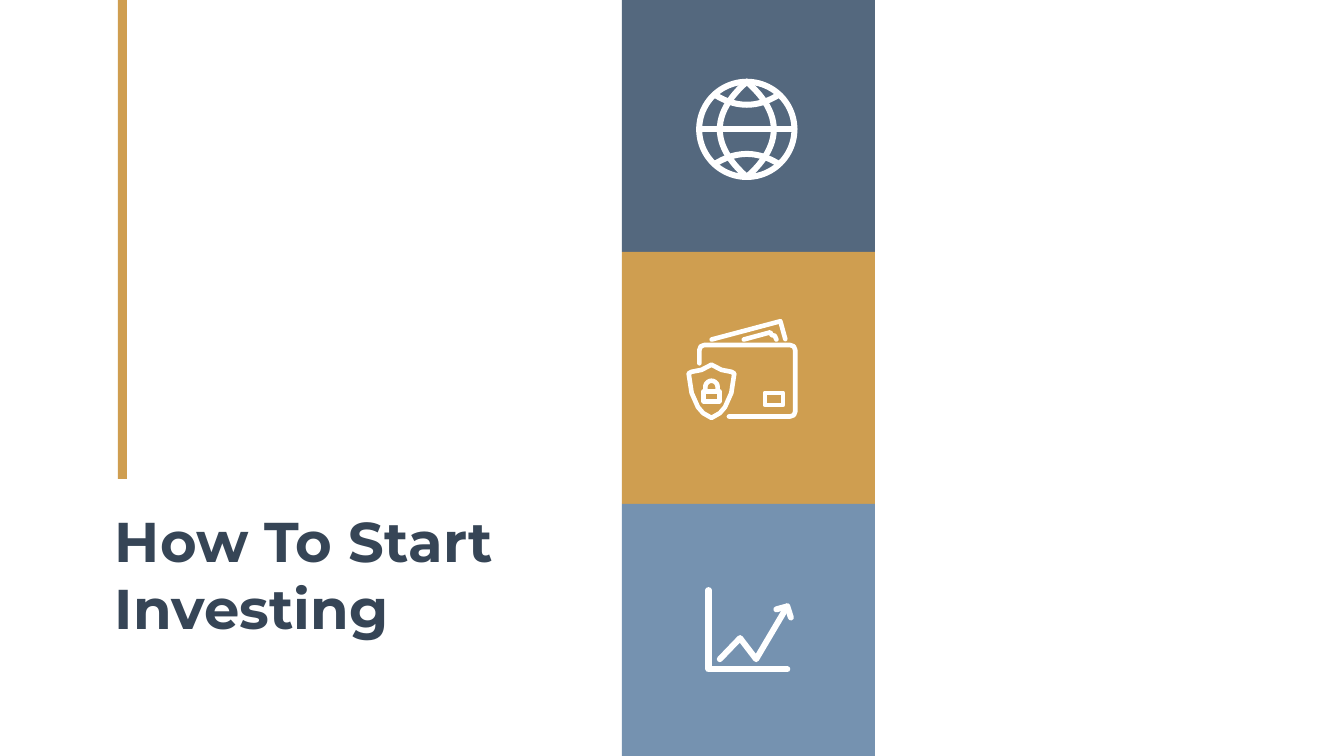
from math import cos, pi, sin

from lxml import etree
from pptx import Presentation
from pptx.dml.color import RGBColor
from pptx.enum.shapes import MSO_SHAPE
from pptx.enum.text import MSO_ANCHOR, MSO_AUTO_SIZE, PP_ALIGN
from pptx.oxml.ns import qn
from pptx.util import Cm, Pt

RECTANGLE = MSO_SHAPE.RECTANGLE
OVAL = MSO_SHAPE.OVAL
COLORS = {
    "title": "364556",
    "slate": "54687E",
    "gold": "CF9E50",
    "blue": "7592B0",
    "icon": "FFFFFF",
}
BOLD_STROKE = Pt(8.6)
FINE_STROKE = Pt(6.6)


def outline(shape, width):
    shape.shadow.inherit = False
    shape.fill.background()
    shape.line.color.rgb = RGBColor.from_string(COLORS["icon"])
    shape.line.width = width
    line = shape._element.spPr.find(qn("a:ln"))
    line.set("cap", "rnd")
    etree.SubElement(line, qn("a:round"))


def stroke(points, width, close=False):
    points = [(Cm(x), Cm(y)) for x, y in points]
    builder = slide.shapes.build_freeform(*points[0])
    builder.add_line_segments(points[1:], close=close)
    outline(builder.convert_to_shape(), width)


presentation = Presentation()
presentation.slide_width = Cm(67.72)
presentation.slide_height = Cm(38.1)
slide = presentation.slides.add_slide(presentation.slide_layouts[5])

title = slide.shapes.title
title.left, title.top, title.width, title.height = Cm(5.54), Cm(25.4), Cm(20.7), Cm(7.09)
frame = title.text_frame
frame.text = "How To Start Investing"
frame.word_wrap = True
frame.auto_size = MSO_AUTO_SIZE.NONE
frame.vertical_anchor = MSO_ANCHOR.TOP
paragraph = frame.paragraphs[0]
paragraph.alignment = PP_ALIGN.LEFT
paragraph.font.name = "Montserrat"
paragraph.font.size = Pt(80)
paragraph.font.bold = True
paragraph.font.color.rgb = RGBColor.from_string(COLORS["title"])

panel_height = 12.7
panels = [
    (31.34, row * panel_height, 12.75, panel_height, color)
    for row, color in enumerate(["slate", "gold", "blue"])
]
accent_bar = (5.94, 0, 0.46, 24.13, "gold")
for left, top, width, height, color in panels + [accent_bar]:
    shape = slide.shapes.add_shape(RECTANGLE, Cm(left), Cm(top), Cm(width), Cm(height))
    shape.shadow.inherit = False
    shape.fill.solid()
    shape.fill.fore_color.rgb = RGBColor.from_string(COLORS[color])
    shape.line.fill.background()

globe_x, globe_y, radius = 37.63, 6.52, 2.4
globe = slide.shapes.add_shape(
    OVAL, Cm(globe_x - radius), Cm(globe_y - radius), Cm(2 * radius), Cm(2 * radius)
)
outline(globe, BOLD_STROKE)
stroke([(globe_x - radius, globe_y), (globe_x + radius, globe_y)], BOLD_STROKE)
steps = [step / 12 for step in range(-12, 13)]
for side in (-1, 1):
    meridian = [
        (globe_x + side * 1.36 * (1 - t * t), globe_y + radius * t) for t in steps
    ]
    parallel = [
        (globe_x + 1.62 * t, globe_y + side * (1.75 - 0.51 * (1 - t * t))) for t in steps
    ]
    stroke(meridian, BOLD_STROKE)
    stroke(parallel, BOLD_STROKE)

card = [(35.86, 17.11), (39.32, 16.19), (39.57, 17.09)]
banknote = [(37.48, 17.11), (38.81, 16.75), (38.89, 16.89), (39.04, 16.92), (39.12, 17.11)]
wallet = [
    (35.24, 18.31), (35.24, 17.64), (35.31, 17.46), (35.48, 17.39),
    (39.82, 17.39), (40, 17.46), (40.07, 17.64),
    (40.07, 20.75), (40, 20.92), (39.82, 20.99), (36.73, 20.99),
]
for points in (card, banknote, wallet):
    stroke(points, FINE_STROKE)

shield_x = 35.85
shield_side = [
    (0, 18.38), (0.5, 18.64), (1, 18.74), (1.15, 18.82),
    (1, 19.8), (0.68, 20.52), (0.42, 20.82), (0, 21.06),
]
shield = [(shield_x + x, y) for x, y in shield_side]
shield += [(shield_x - x, y) for x, y in shield_side[-2:0:-1]]
stroke(shield, FINE_STROKE, close=True)

shackle_arch = [
    (shield_x - 0.31 * cos(pi * step / 10), 19.5 - 0.31 * sin(pi * step / 10))
    for step in range(11)
]
shackle = [(shield_x - 0.31, 19.72), *shackle_arch, (shield_x + 0.31, 19.72)]
stroke(shackle, FINE_STROKE)

clasp = (38.54, 19.8, 0.91, 0.61)
lock_body = (shield_x - 0.39, 19.72, 0.78, 0.51)
for box in (clasp, lock_body):
    outline(slide.shapes.add_shape(RECTANGLE, *map(Cm, box)), FINE_STROKE)

axes = [(35.7, 29.74), (35.7, 33.73), (39.67, 33.73)]
trend = [(36.27, 33.22), (37.29, 32.16), (38.1, 33.22), (39.67, 30.56)]
arrowhead = [(39.12, 30.71), (39.67, 30.56), (39.85, 31.12)]
for points in (axes, trend, arrowhead):
    stroke(points, BOLD_STROKE)

presentation.save("out.pptx")
